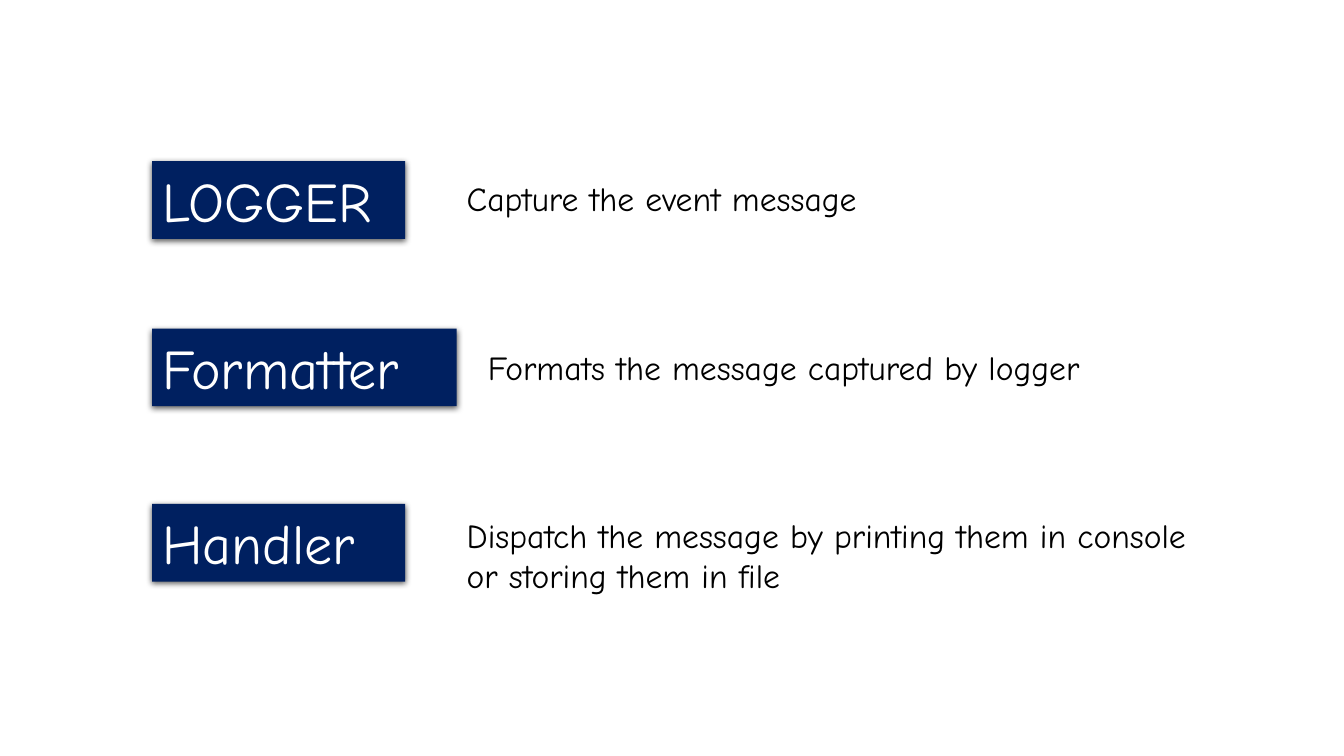
from lxml.etree import SubElement
from pptx import Presentation
from pptx.dml.color import RGBColor
from pptx.enum.shapes import MSO_SHAPE
from pptx.enum.text import MSO_ANCHOR, MSO_AUTO_SIZE, PP_ALIGN
from pptx.oxml.ns import qn
from pptx.util import Inches, Pt

COLORS = {"navy": "002060", "white": "FFFFFF", "black": "000000"}
FONT = "Comic Neue"
COLUMN = ROW = Inches(1)
LABEL_LEFT, LABEL_HEIGHT = 1.51, 0.77
COMPONENTS = [
    ("LOGGER", 1.6, 2.51,
     "Capture the event message", (4.53, 1.72, 4.79, 0.5)),
    ("Formatter", 3.26, 3.02,
     "Formats the message captured by logger", (4.74, 3.39, 7.09, 0.5)),
    ("Handler", 5, 2.51,
     "Dispatch the message by printing them in console or storing them in file",
     (4.53, 5.06, 7.61, 0.91)),
]


def color(name):
    """Return the named palette colour."""
    return RGBColor.from_string(COLORS[name])


def place(left, top, width, height):
    """Convert grid columns and rows to slide lengths."""
    return (round(left * COLUMN), round(top * ROW),
            round(width * COLUMN), round(height * ROW))


def write(frame, text, size=24, ink="black", align=PP_ALIGN.LEFT):
    """Write formatted text into a wrapping frame."""
    frame.word_wrap = True
    frame.auto_size = MSO_AUTO_SIZE.SHAPE_TO_FIT_TEXT
    frame.vertical_anchor = MSO_ANCHOR.TOP
    paragraph = frame.paragraphs[0]
    paragraph.alignment = align
    run = paragraph.add_run()
    run.text = text
    run.font.name = FONT
    run.font.size = Pt(size)
    run.font.color.rgb = color(ink)


def add_soft_shadow(label):
    """Give a label a soft shadow falling straight down."""
    label.shadow.inherit = False
    effects = label.element.spPr.find(qn("a:effectLst"))
    shadow = SubElement(effects, qn("a:outerShdw"), blurRad=str(Pt(4.5)),
                        dist=str(Pt(1.5)), dir="5400000", rotWithShape="0")
    tint = SubElement(shadow, qn("a:srgbClr"), val=COLORS["black"])
    SubElement(tint, qn("a:alpha"), val="63000")


def add_label(slide, text, box):
    """Add a navy component label."""
    label = slide.shapes.add_shape(MSO_SHAPE.RECTANGLE, *place(*box))
    label.fill.solid()
    label.fill.fore_color.rgb = color("navy")
    label.line.fill.background()
    add_soft_shadow(label)
    write(label.text_frame, text, size=40, ink="white")


def add_description(slide, text, box):
    """Add the description beside a label."""
    description = slide.shapes.add_textbox(*place(*box))
    write(description.text_frame, text)


def main():
    """Build and save the logging components slide."""
    deck = Presentation()
    deck.slide_width, deck.slide_height = Inches(13.33), Inches(7.5)
    slide = deck.slides.add_slide(deck.slide_layouts[6])
    for name, top, width, role, role_box in COMPONENTS:
        add_label(slide, name, (LABEL_LEFT, top, width, LABEL_HEIGHT))
        add_description(slide, role, role_box)
    deck.save("out.pptx")


main()
